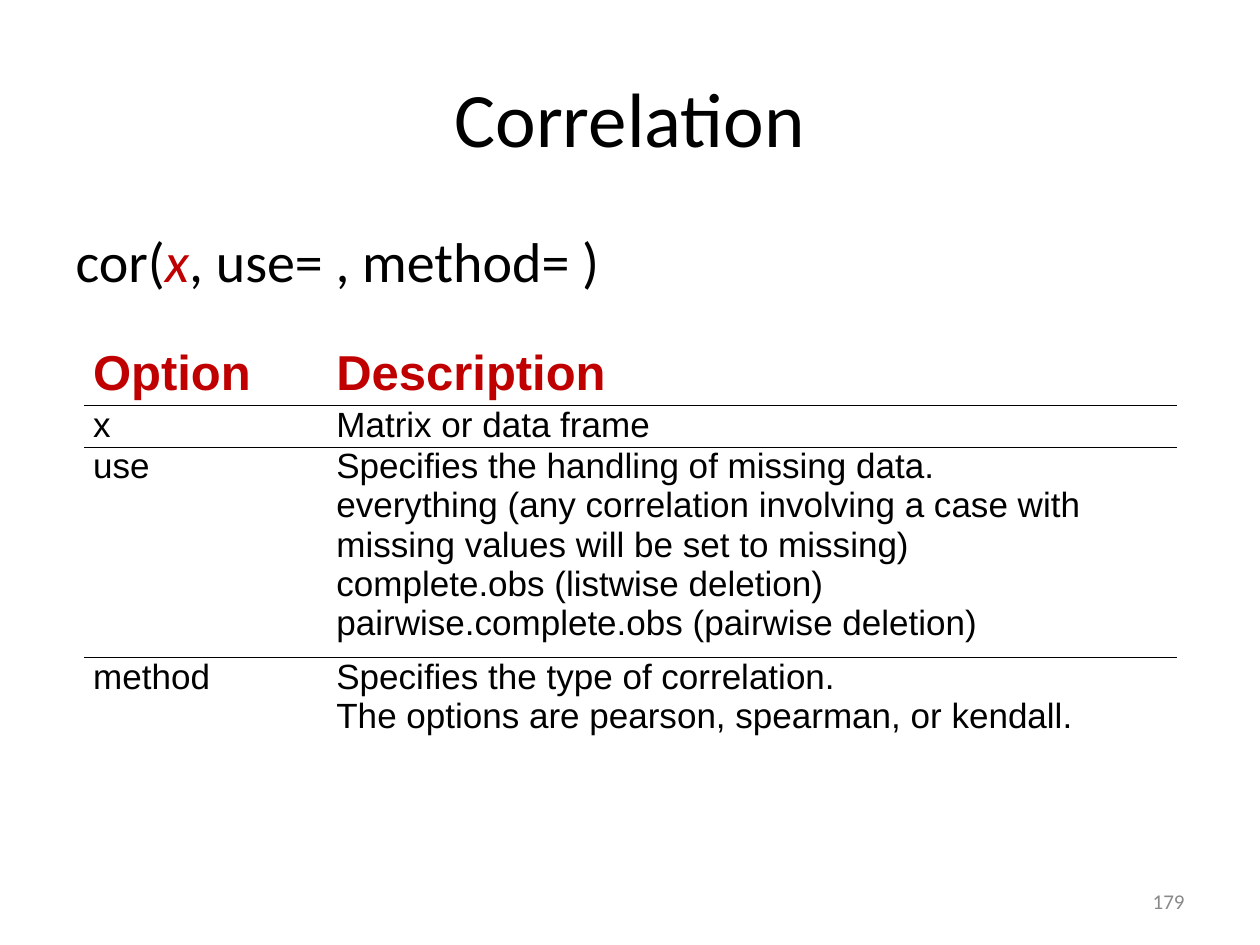
"""Builds a slide that explains the options of the cor() function."""
from lxml import etree
from pptx import Presentation
from pptx import util as u
from pptx.dml.color import RGBColor
from pptx.enum import text
from pptx.oxml.ns import qn

THEME = {
    "ink": "000000", "accent": "C00000", "muted": "898989",
    "main_font": "Calibri", "table_font": "Arial",
    "title": 44, "call": 32, "header": 28, "cell": 20, "number": 12,
}
NO_GRID_STYLE = "{2D5ABB26-0587-4C30-8999-92F81FD0307C}"

TITLE = "Correlation"
CALL = [("cor(", "ink", False), ("x", "accent", True), (", use= , method= )", "ink", False)]
OPTIONS = [
    ("Option", "Description"),
    ("x", "Matrix or data frame"),
    ("use", "Specifies the handling of missing data. \v"
            "everything (any correlation involving a case with missing values will be set to missing)\v"
            "complete.obs (listwise deletion)\v"
            "pairwise.complete.obs (pairwise deletion) "),
    ("method", "Specifies the type of correlation. \v"
               "The options are pearson, spearman, or kendall."),
]
COLUMN_WIDTHS = (1.93, 6.74)
ROW_HEIGHTS = (0.47, 0.33, 1.67, 0.67)
RULED_ROWS = 2
PAGE_NUMBER = "179"


def write(frame, runs, size, font="main_font", align=None, bold=False):
    paragraph = frame.paragraphs[0]
    paragraph.alignment = align
    for words, color, italic in runs:
        for position, line in enumerate(words.split("\v")):
            if position:
                paragraph.add_line_break()
            run = paragraph.add_run()
            run.text = line
            run.font.name = THEME[font]
            run.font.size = u.Pt(THEME[size])
            run.font.color.rgb = RGBColor.from_string(THEME[color])
            run.font.bold, run.font.italic = bold, italic
    return paragraph


def rule_edge(cell, edge):
    line = etree.Element(qn(f"a:{edge}"), w=str(u.Pt(1)))
    fill = etree.SubElement(line, qn("a:solidFill"))
    etree.SubElement(fill, qn("a:srgbClr"), val=THEME["ink"])
    cell._tc.get_or_add_tcPr().insert(0, line)


def place(shape, left, top, width, height):
    shape.left, shape.top, shape.width, shape.height = map(u.Inches, (left, top, width, height))


deck = Presentation()
deck.slide_width, deck.slide_height = u.Inches(10), u.Inches(7.5)
slide = deck.slides.add_slide(deck.slide_layouts[1])

heading = slide.shapes.title
place(heading, 0.5, 0.3, 9, 1.25)
write(heading.text_frame, [(TITLE, "ink", False)], "title", align=text.PP_ALIGN.CENTER)

call = slide.placeholders[1]
place(call, 0.5, 1.75, 9, 4.95)
call_format = write(call.text_frame, CALL, "call")._p.get_or_add_pPr()
call_format.set("marL", str(u.Inches(0.38)))
call_format.set("indent", str(u.Inches(-0.38)))
etree.SubElement(call_format, qn("a:buNone"))

options = slide.shapes.add_table(
    len(OPTIONS), len(COLUMN_WIDTHS), u.Inches(0.67), u.Inches(2.75),
    u.Inches(sum(COLUMN_WIDTHS)), u.Inches(sum(ROW_HEIGHTS))).table
options.first_row = options.horz_banding = False
options._tbl.tblPr.find(qn("a:tableStyleId")).text = NO_GRID_STYLE
for column, width in zip(options.columns, COLUMN_WIDTHS):
    column.width = u.Inches(width)
for row, (entries, height) in enumerate(zip(OPTIONS, ROW_HEIGHTS)):
    options.rows[row].height = u.Inches(height)
    header = row == 0
    for column, entry in enumerate(entries):
        cell = options.cell(row, column)
        cell.margin_left = cell.margin_right = u.Inches(0.07)
        cell.margin_top = cell.margin_bottom = 0
        cell.fill.background()
        write(cell.text_frame, [(entry, "accent" if header else "ink", False)],
              "header" if header else "cell", font="table_font", bold=header)
        if row < RULED_ROWS:
            rule_edge(cell, "lnB")
        if 0 < row <= RULED_ROWS:
            rule_edge(cell, "lnT")

page_number = slide.shapes.add_textbox(*map(u.Inches, (7.17, 6.95, 2.33, 0.4))).text_frame
page_number.word_wrap = True
page_number.vertical_anchor = text.MSO_ANCHOR.MIDDLE
write(page_number, [(PAGE_NUMBER, "muted", False)], "number", align=text.PP_ALIGN.RIGHT)

deck.save("out.pptx")
